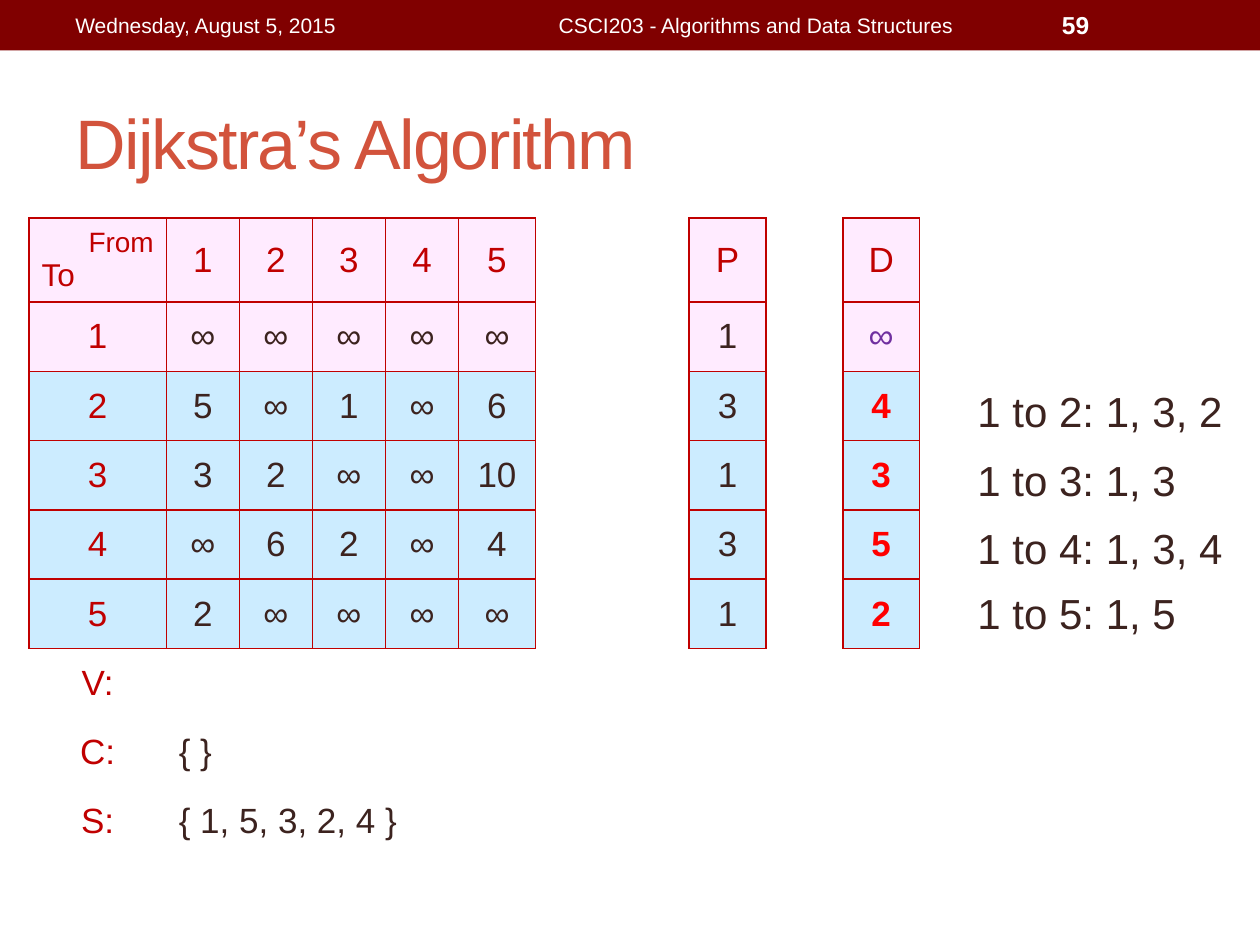
from lxml.etree import SubElement
from pptx import Presentation
from pptx.dml.color import RGBColor
from pptx.enum.shapes import MSO_SHAPE
from pptx.enum.text import MSO_ANCHOR, PP_ALIGN
from pptx.oxml.ns import qn
from pptx.util import Inches, Pt

RED, DARK, WHITE = "C00000", "3C231F", "FFFFFF"
PINK, BLUE = "FFEBFF", "CCECFF"
NO_GRID_STYLE = "{2D5ABB26-0587-4C30-8999-92F81FD0307C}"
COLS = [1.09] + [0.58] * 4 + [0.61] * 6
ROWS = [0.66] + [0.55] * 8
P_COL, D_COL = 8, 10
WEIGHTS = ["∞∞∞∞∞", "5∞1∞6", ["3", "2", "∞", "∞", "10"], "∞62∞4", "2∞∞∞∞"]
PREDECESSORS = "13131"
DISTANCES = "∞4352"
SETS = [("V:", ""), ("C:", "{ }"), ("S:", "{ 1, 5, 3, 2, 4 }")]
PATHS = [
    (3.01, "1 to 2: 1, 3, 2"),
    (3.56, "1 to 3: 1, 3"),
    (4.1, "1 to 4: 1, 3, 4"),
    (4.61, "1 to 5: 1, 5"),
]


def rgb(color):
    """Turn a hex string into a colour."""
    return RGBColor.from_string(color)


def write(p, text, size=20, color=DARK, bold=False, align=PP_ALIGN.LEFT, spacing=None):
    """Write one formatted run into a paragraph."""
    p.alignment = align
    r = p.add_run()
    r.text = text
    r.font.name = "Arial"
    r.font.size = Pt(size)
    r.font.bold = bold
    r.font.color.rgb = rgb(color)
    if spacing is not None:
        r.font._element.set("spc", str(spacing))


def add_text(s, box, text, anchor=MSO_ANCHOR.MIDDLE, **fmt):
    """Add a wrapped text box."""
    tf = s.shapes.add_textbox(*map(Inches, box)).text_frame
    tf.word_wrap = True
    tf.vertical_anchor = anchor
    write(tf.paragraphs[0], text, **fmt)


def add_header(s):
    """Add the band with date, course and page number."""
    sp = s.shapes.add_shape(MSO_SHAPE.RECTANGLE, 0, 0, Inches(10), Inches(0.4))
    sp.shadow.inherit = False
    sp.fill.solid()
    sp.fill.fore_color.rgb = rgb("800000")
    sp.line.fill.background()
    add_text(s, (0.5, 0.02, 3.17, 0.36), "Wednesday, August 5, 2015", size=12, color=WHITE)
    add_text(s, (3.75, 0.02, 4.5, 0.36), "CSCI203 - Algorithms and Data Structures",
             size=12, color=WHITE, align=PP_ALIGN.CENTER)
    add_text(s, (8.33, 0.02, 1.17, 0.36), "59", size=14, color=WHITE, bold=True)


def set_title(s, text):
    """Place and format the title placeholder."""
    sp = s.shapes.title
    sp.left, sp.top, sp.width, sp.height = map(Inches, (0.5, 0.58, 9, 1.08))
    tf = sp.text_frame
    tf.vertical_anchor = MSO_ANCHOR.MIDDLE
    write(tf.paragraphs[0], text, size=40, color="D2533C", spacing=-100)


def add_borders(cell):
    """Draw a thin red line on all four sides of a cell."""
    tc_pr = cell._tc.get_or_add_tcPr()
    for side in "LRTB":
        ln = SubElement(tc_pr, qn(f"a:ln{side}"), w=str(Pt(1)))
        fill = SubElement(ln, qn("a:solidFill"))
        SubElement(fill, qn("a:srgbClr"), val=RED)


def fill_cell(cell, text, fill=None, align=PP_ALIGN.CENTER, **fmt):
    """Write a cell and, where it has a fill, box it."""
    cell.vertical_anchor = MSO_ANCHOR.MIDDLE
    write(cell.text_frame.paragraphs[0], text, align=align, **fmt)
    if fill:
        add_borders(cell)
        cell.fill.solid()
        cell.fill.fore_color.rgb = rgb(fill)


def add_grid(s):
    """Add an empty table without style."""
    frame = s.shapes.add_table(len(ROWS), len(COLS), Inches(0.23), Inches(1.73),
                               Inches(sum(COLS)), Inches(sum(ROWS)))
    table = frame.table
    table.first_row = table.horz_banding = False
    table._tbl.tblPr.find(qn("a:tableStyleId")).text = NO_GRID_STYLE
    for col, width in zip(table.columns, COLS):
        col.width = Inches(width)
    for row, height in zip(table.rows, ROWS):
        row.height = Inches(height)
    return table


def add_matrix(s):
    """Add the weights, predecessors, distances and vertex sets."""
    table = add_grid(s)
    corner = table.cell(0, 0)
    fill_cell(corner, "From", PINK, align=PP_ALIGN.RIGHT, size=16, color=RED)
    write(corner.text_frame.add_paragraph(), "To", size=18, color=RED)
    for c, text in zip([1, 2, 3, 4, 5, P_COL, D_COL], "12345PD"):
        fill_cell(table.cell(0, c), text, PINK, color=RED)
    for r, (weights, before, distance) in enumerate(zip(WEIGHTS, PREDECESSORS, DISTANCES), 1):
        fill = PINK if r == 1 else BLUE
        fill_cell(table.cell(r, 0), str(r), fill, color=RED)
        for c, weight in enumerate(weights, 1):
            fill_cell(table.cell(r, c), weight, fill)
        fill_cell(table.cell(r, P_COL), before, fill)
        fill_cell(table.cell(r, D_COL), distance, fill,
                  color="7030A0" if r == 1 else "FF0000", bold=r > 1)
    for r, (name, members) in enumerate(SETS, len(WEIGHTS) + 1):
        fill_cell(table.cell(r, 0), name, color=RED)
        if members:
            table.cell(r, 1).merge(table.cell(r, len(COLS) - 1))
            fill_cell(table.cell(r, 1), members, align=PP_ALIGN.LEFT)


def main():
    """Build the slide."""
    prs = Presentation()
    prs.slide_width, prs.slide_height = Inches(10), Inches(7.5)
    s = prs.slides.add_slide(prs.slide_layouts[5])
    add_header(s)
    set_title(s, "Dijkstra’s Algorithm")
    add_matrix(s)
    for top, text in PATHS:
        add_text(s, (7.66, top, 2.27, 0.5), text, anchor=MSO_ANCHOR.TOP, size=24)
    prs.save("out.pptx")


if __name__ == "__main__":
    main()
